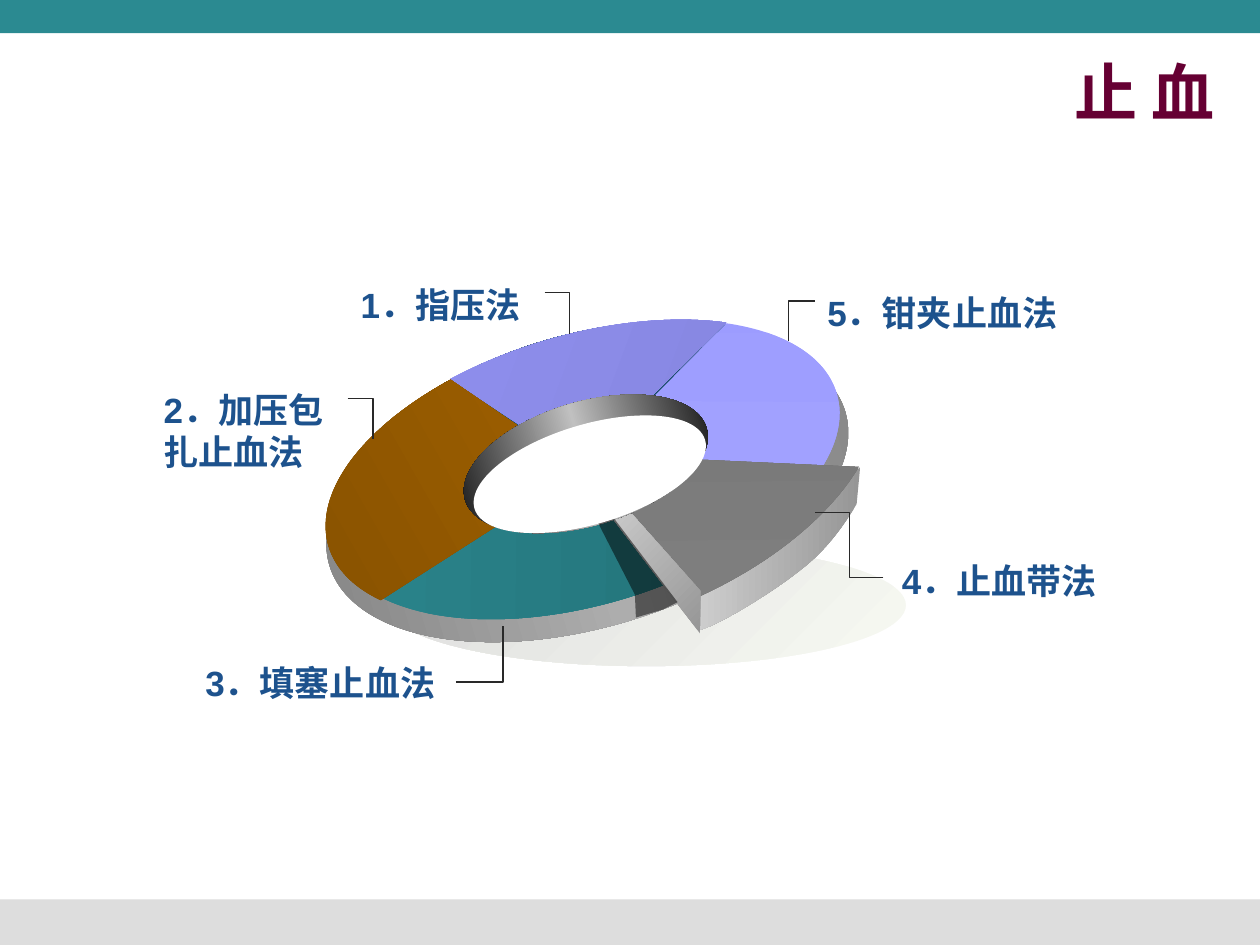
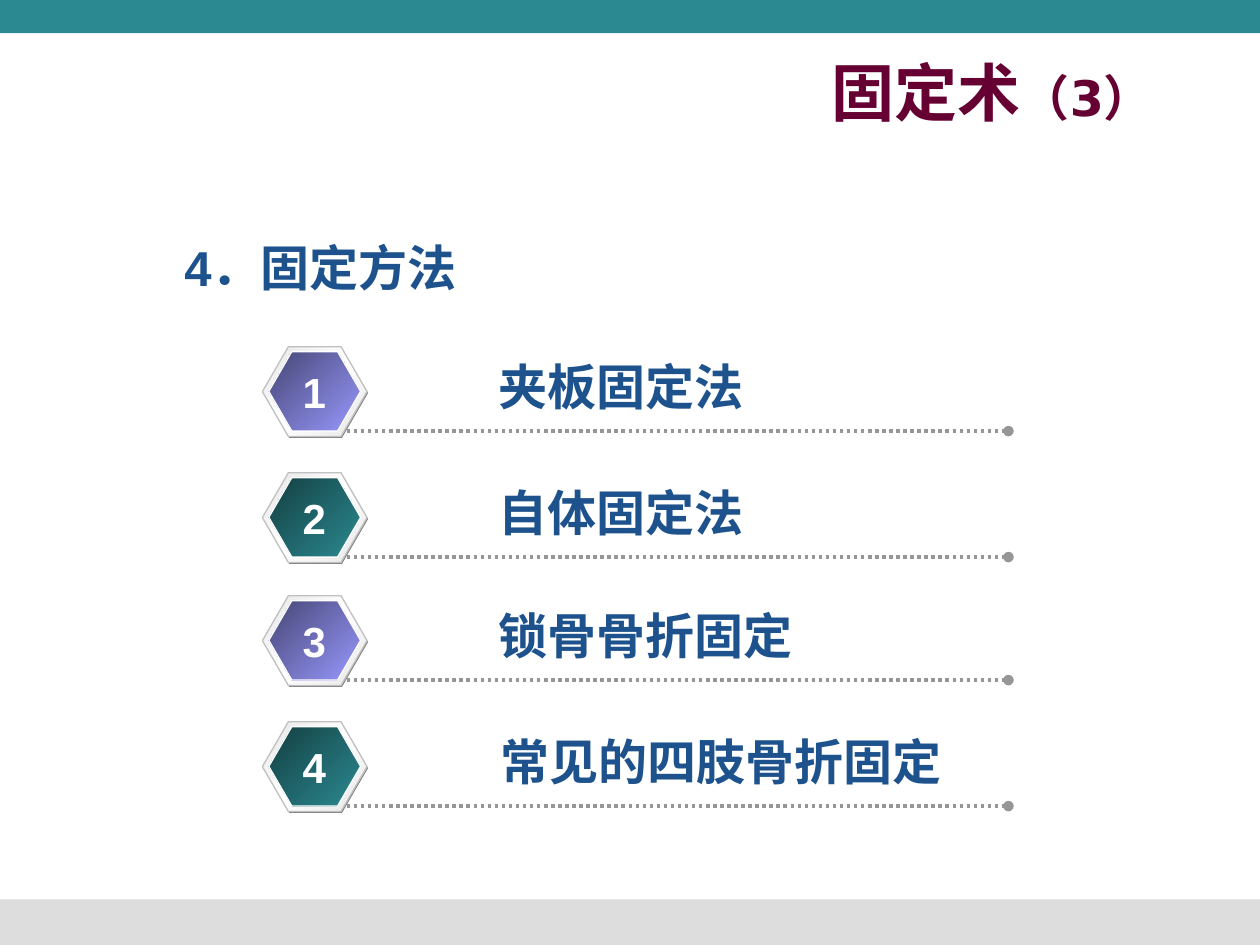
from dataclasses import dataclass
from math import ceil, cos, radians, sin, tan

from lxml import etree
from pptx import Presentation
from pptx.dml.color import RGBColor
from pptx.enum.dml import MSO_LINE
from pptx.enum.shapes import MSO_CONNECTOR, MSO_SHAPE
from pptx.enum.text import MSO_ANCHOR, PP_ALIGN
from pptx.oxml.ns import qn
from pptx.util import Cm, Pt

RECTANGLE, ELLIPSE, HEXAGON = MSO_SHAPE.RECTANGLE, MSO_SHAPE.OVAL, MSO_SHAPE.HEXAGON
STRAIGHT, ELBOW = MSO_CONNECTOR.STRAIGHT, MSO_CONNECTOR.ELBOW
LEFT, CENTER, RIGHT = PP_ALIGN.LEFT, PP_ALIGN.CENTER, PP_ALIGN.RIGHT
TOP, MIDDLE = MSO_ANCHOR.TOP, MSO_ANCHOR.MIDDLE
DOTTED = MSO_LINE.ROUND_DOT


@dataclass(frozen=True)
class Theme:
    teal: str = "2B8A91"
    band_grey: str = "DDDDDD"
    title: str = "660033"
    text: str = "1D528D"
    white: str = "FFFFFF"
    black: str = "000000"
    callout: str = "292929"
    dots: str = "969696"
    badge_shadow: str = "808080"
    badge_edge: str = "C0C0C0"
    badge_frame: tuple = ("E6E6E6", "FFFFFF", "E6E6E6")
    badge_faces: tuple = (("9999FF", "464675"), ("2B8A91", "133F42"))
    floor: tuple = ("F7F9F2", "DDDDDD")
    rim: tuple = ("808080", "ADADAD", "808080")
    base: tuple = ("000000", "2791BB")
    slice_lavender: tuple = ("9C9CFF", "A8A8FF")
    slice_teal: tuple = ("2B868D", "216E74")
    slice_purple: tuple = ("9292F4", "8282D8")
    slice_orange: tuple = ("855000", "B46C00")
    slice_grey: tuple = ("707070", "838383")
    cut: tuple = ("969696", "CECECE")
    hole: tuple = ("000000", "C0C0C0", "000000")
    body_font: str = "Arial"
    title_font: str = "DejaVu Sans"
    title_size: int = 36
    body_size: int = 28
    number_size: int = 24
    label_size: int = 20


THEME = Theme()


@dataclass(frozen=True)
class Box:
    left: float
    top: float
    width: float
    height: float

    def inner(self, left, top, width, height):
        return Box(self.left + left, self.top + top, width, height)

    def around_center(self, x, y, width, height):
        return self.inner(self.width / 2 + x - width / 2,
                          self.height / 2 + y - height / 2, width, height)

    def from_center(self, x, y):
        return self.left + self.width / 2 + x, self.top + self.height / 2 + y

    def lengths(self):
        return Cm(self.left), Cm(self.top), Cm(self.width), Cm(self.height)


PAGE = Box(0, 0, 25.4, 19.05)

# Ring slices: ellipse around the ring centre, start and end angle, fill, its angle
TILT, CUT_TILT = 16.6, 17.7
SLICES = [
    ((0, 0.01, 10.72, 5.41), -47.3, 30, THEME.slice_lavender, 107),
    ((0.05, 0.01, 10.62, 5.46), 65, 150.4, THEME.slice_teal, 17),
    ((-0.01, -0.06, 10.69, 5.26), 247.6, 312.7, THEME.slice_purple, 37),
    ((0.03, 0.03, 10.72, 5.44), 150.4, 247.6, THEME.slice_orange, 347),
]
CUT_SLICE = ((0.1, -0.29, 12.29, 6.99), 33.1, 79, THEME.slice_grey, 107)
# Outlines around the pulled-out slice, in cm from the ring centre;
# the outer face has two straight sides, then curves of three points each
OUTER_FACE = [(2.34, 2.59), (5.61, -0.03), (5.54, 0.71),
              (5.33, 1.07), (4.95, 1.63), (4.42, 2.03),
              (3.89, 2.46), (2.72, 3.18), (2.36, 3.25),
              (2.31, 3.02), (2.34, 2.59), (2.34, 2.59)]
CUT_FACE = [(2.39, 2.46), (2.39, 3.33), (0.46, 0.79), (0.74, 0.61)]
CAST_SHADOW = [(0.3, 1.04), (1.07, 2.54), (1.09, 3), (1.63, 2.84),
               (1.93, 2.69), (0.64, 0.99)]
# Label text, its place and size, callout start and end, from the ring centre
LABELS = [
    ("5．钳夹止血法", (4.7, -3.7, 6.3, 1.12), (4.7, -3.38), (4.17, -2.57)),
    ("2．加压包扎止血法", (-8.68, -1.75, 3.96, 1.96), (-4.72, -1.42), (-4.21, -0.59)),
    ("1．指压法", (-4.71, -3.86, 3.96, 1.12), (-0.75, -3.55), (-0.25, -2.72)),
    ("4．止血带法", (6.2, 1.7, 5.23, 1.12), (6.08, 2.19), (4.7, 0.89)),
    ("3．填塞止血法", (-7.84, 3.76, 5.92, 1.12), (-2.54, 4.3), (-1.59, 3.17)),
]
# Method name, left edge and width of its text
METHODS = [("夹板固定法", 4.52, 5.89), ("自体固定法", 4.52, 5.89),
           ("锁骨骨折固定", 4.52, 6.86), ("常见的四肢骨折固定", 4.56, 10.06)]
ROW_PITCH, PAIR_PITCH = 2.54, 5.02


def rgb(color):
    return RGBColor.from_string(color)


def paint(shape, fill, angle=0, edge=None):
    """Fill with one colour, or with a gradient when given several."""
    shape.shadow.inherit = False
    if isinstance(fill, str):
        shape.fill.solid()
        shape.fill.fore_color.rgb = rgb(fill)
    else:
        shape.fill.gradient()
        shape.fill.gradient_angle = 360 - angle
        stops = shape._element.spPr.find(".//" + qn("a:gsLst"))
        for stop in list(stops):
            stops.remove(stop)
        for index, color in enumerate(fill):
            position = str(100000 * index // (len(fill) - 1))
            stop = etree.SubElement(stops, qn("a:gs"), pos=position)
            etree.SubElement(stop, qn("a:srgbClr"), val=color)
    if edge:
        shape.line.color.rgb = rgb(edge)
        shape.line.width = Pt(0.75)
    else:
        shape.line.fill.background()
    return shape


def add_preset(page, kind, box, fill, angle=0, edge=None, tilt=0):
    shape = page.shapes.add_shape(kind, *box.lengths())
    shape.rotation = -tilt % 360
    return paint(shape, fill, angle, edge)


def add_outline(page, box, points, fill, angle=0, straight=None):
    """Outline around the box centre; sides after the straight ones are curves."""
    corners = [tuple(Cm(value) for value in box.from_center(*point)) for point in points]
    builder = page.shapes.build_freeform(*corners[0])
    builder.add_line_segments(corners[1:], close=True)
    shape = builder.convert_to_shape()
    if straight is not None:
        sides = list(shape._element.spPr.iter(qn("a:lnTo")))[straight:len(points) - 1]
        for first in range(0, len(sides), 3):
            curve = etree.Element(qn("a:cubicBezTo"))
            sides[first].addprevious(curve)
            for side in sides[first:first + 3]:
                curve.append(side[0])
                side.getparent().remove(side)
    return paint(shape, fill, angle)


def add_slice(page, box, tilt, start, end, fill, angle):
    """Slice of the ellipse in the box, which is then turned as a whole."""
    shape = add_outline(page, box, slice_points(box, start, end), fill, angle, straight=1)
    left, top, width, height = box.lengths()
    outline = shape._element.spPr.find(".//" + qn("a:path"))
    for point in outline.iter(qn("a:pt")):
        point.set("x", str(int(point.get("x")) + shape.left - left))
        point.set("y", str(int(point.get("y")) + shape.top - top))
    outline.set("w", str(width))
    outline.set("h", str(height))
    shape.left, shape.top, shape.width, shape.height = left, top, width, height
    shape.rotation = -tilt % 360


def slice_points(box, start, end):
    """Centre, start of the arc, then three points for each curve."""
    count = ceil((end - start) / 90)
    step = radians(end - start) / count
    reach = 4 / 3 * tan(step / 4)

    def on_arc(angle, lean=0):
        return (box.width / 2 * (cos(angle) - lean * sin(angle)),
                box.height / 2 * (sin(angle) + lean * cos(angle)))

    points = [(0, 0), on_arc(radians(start))]
    for index in range(count):
        angle = radians(start) + index * step
        points += [on_arc(angle, reach), on_arc(angle + step, -reach), on_arc(angle + step)]
    return points


def add_line(page, kind, start, end, color, width):
    line = page.shapes.add_connector(kind, *(Cm(value) for value in (*start, *end)))
    line.line.color.rgb = rgb(color)
    line.line.width = Pt(width)
    etree.SubElement(line._element.spPr, qn("a:effectLst"))
    return line


def add_text(page, box, text, size, color=THEME.text, font=THEME.body_font,
             align=LEFT, anchor=TOP):
    frame = page.shapes.add_textbox(*box.lengths()).text_frame
    frame.word_wrap = True
    frame.vertical_anchor = anchor
    frame.text = text
    para = frame.paragraphs[0]
    para.alignment = align
    style_span(para.runs[0], size, color, font)
    return para


def style_span(span, size, color, font):
    span.font.size = Pt(size)
    span.font.bold = True
    span.font.name = font
    span.font.color.rgb = rgb(color)


def start_page(deck, title, title_width, suffix=None):
    page = deck.slides.add_slide(deck.slide_layouts[6])
    # Bottom and top bands
    add_preset(page, RECTANGLE, PAGE.inner(0, 18.13, PAGE.width, 0.92), THEME.band_grey)
    add_preset(page, RECTANGLE, PAGE.inner(0, 0, PAGE.width, 0.67), THEME.teal)
    # Title, with an optional smaller ending
    para = add_text(page, PAGE.inner(1.47, 1.05, title_width, 1.57), title,
                    THEME.title_size, THEME.title, THEME.title_font, RIGHT, MIDDLE)
    if suffix:
        span = para.add_run()
        span.text = suffix
        style_span(span, THEME.body_size, THEME.title, THEME.title_font)
    return page


def add_ring(page, box):
    # Floor shadow, rim and base
    add_preset(page, ELLIPSE, box.around_center(1.3, 2.75, 10.46, 2.46), THEME.floor, 225)
    add_preset(page, ELLIPSE, box.around_center(0.11, 0.4, 10.85, 5.59), THEME.rim, 180,
               tilt=TILT)
    add_preset(page, ELLIPSE, box.around_center(0.02, 0.01, 10.46, 5.41), THEME.base, 242,
               tilt=TILT)
    # Slices that stay in place
    for place, *arc in SLICES:
        add_slice(page, box.around_center(*place), TILT, *arc)
    # Pulled-out slice
    add_outline(page, box, OUTER_FACE, THEME.cut, 180, straight=2)
    place, *arc = CUT_SLICE
    add_slice(page, box.around_center(*place), CUT_TILT, *arc)
    add_outline(page, box, CUT_FACE, THEME.cut, 225)
    # Hole, with the slice's shadow between its wall and its floor
    add_preset(page, ELLIPSE, box.around_center(0.08, -0.1, 5.08, 2.49), THEME.hole, 180,
               tilt=TILT)
    shadow = add_outline(page, box, CAST_SHADOW, THEME.black)
    color = shadow._element.spPr.find(qn("a:solidFill")).find(qn("a:srgbClr"))
    etree.SubElement(color, qn("a:alpha"), val="50000")
    add_preset(page, ELLIPSE, box.around_center(0.16, 0.11, 4.85, 2.01), THEME.white,
               tilt=TILT)


def add_labels(page, box):
    for text, (x, y, width, height), start, end in LABELS:
        place = Box(*box.from_center(x, y), width, height)
        add_text(page, place, text, THEME.label_size)
        line = add_line(page, ELBOW, box.from_center(*start), box.from_center(*end),
                        THEME.callout, 0.75)
        # All callouts turn once, except the one ending inside its slice
        if not text.startswith("4"):
            line._element.spPr.find(qn("a:prstGeom")).set("prst", "bentConnector2")


def add_method(page, box, number, text, left, width):
    # Hexagon badge: shadow, frame, face
    layers = [
        ((0.02, 0.03, 2.11, 1.81), THEME.badge_shadow, None),
        ((0, 0, 2.11, 1.81), THEME.badge_frame, THEME.badge_edge),
        ((0.13, 0.1, 1.85, 1.6), THEME.badge_faces[(number - 1) % 2], THEME.white),
    ]
    for place, fill, edge in layers:
        badge = add_preset(page, HEXAGON, box.inner(*place), fill, 225, edge)
        badge.adjustments[0] = 0.29
    # Dotted rule with a round end
    height = box.top + 1.7
    rule = add_line(page, STRAIGHT, (box.left + 1.7, height), (box.left + box.width, height),
                    THEME.dots, 2)
    rule.line.dash_style = DOTTED
    etree.SubElement(rule.line._get_or_add_ln(), qn("a:tailEnd"), type="oval")
    # Method name and number
    add_text(page, box.inner(left, 0.08, width, 1.45), text, THEME.body_size)
    add_text(page, box.inner(0.56, 0.28, 0.97, 1.27), str(number), THEME.number_size,
             THEME.white, align=CENTER)


def build_bleeding_page(deck):
    page = start_page(deck, "止 血", 23.27)
    ring = Box(5.73, 4.95, 12, 9)
    add_ring(page, ring)
    add_labels(page, ring)


def build_fixation_page(deck):
    page = start_page(deck, "固定术", 22.02, "（3）")
    heading = add_text(page, PAGE.inner(1.27, 4.67, 22.86, 12.27), "4．固定方法",
                       THEME.body_size)
    heading._p.get_or_add_pPr().set("marL", str(Cm(2.2)))
    for index, method in enumerate(METHODS):
        pair, place = divmod(index, 2)
        top = 6.99 + pair * PAIR_PITCH + place * ROW_PITCH
        add_method(page, Box(5.29, top, 15.04, 1.81), index + 1, *method)


deck = Presentation()
deck.slide_width, deck.slide_height = Cm(PAGE.width), Cm(PAGE.height)
build_bleeding_page(deck)
build_fixation_page(deck)
deck.save("out.pptx")
